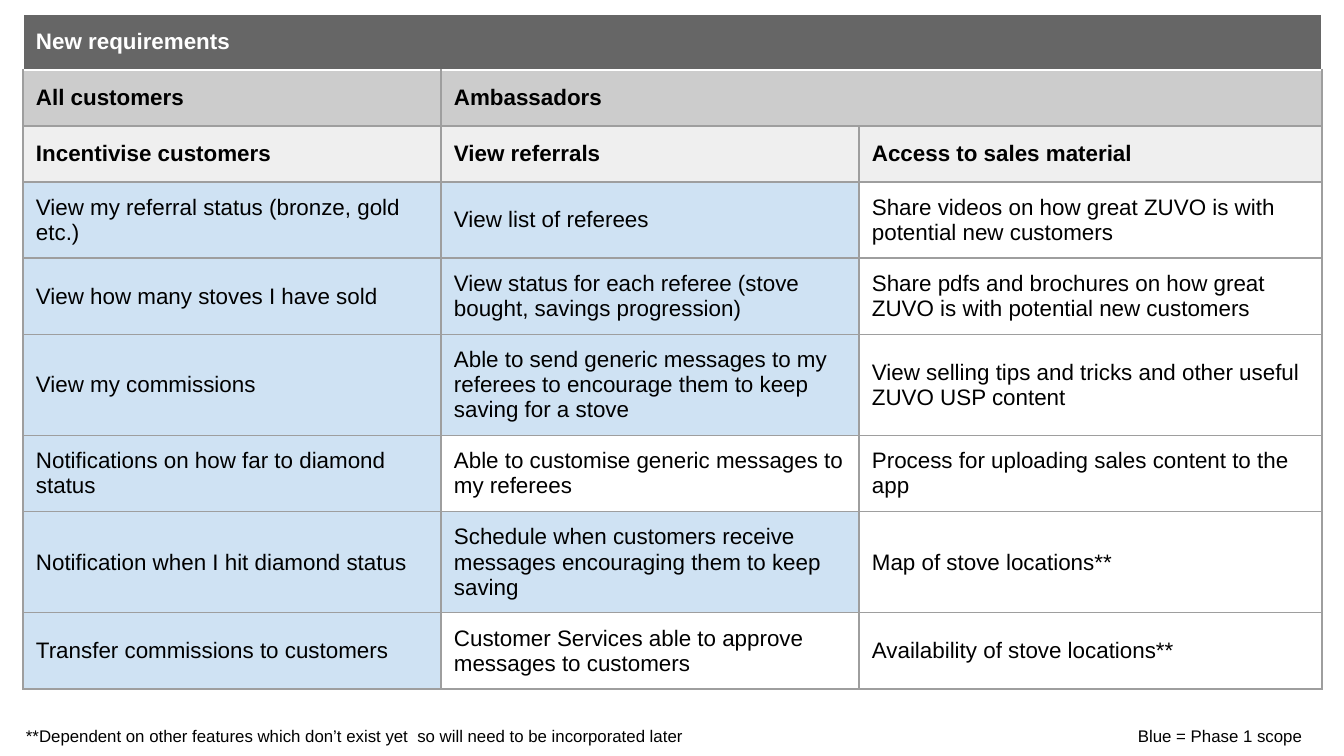
"""Build the slide of new requirements as a table with two footnotes."""
from lxml import etree
from pptx import Presentation
from pptx.dml.color import RGBColor
from pptx.enum.text import MSO_ANCHOR
from pptx.oxml.ns import qn
from pptx.util import Emu, Pt

MIDDLE = MSO_ANCHOR.MIDDLE
SCALE = 914400 / 134.4
INSET = 13
WHITE, BLACK, GREY, BLUE = "FFFFFF", "000000", "9E9E9E", "CFE2F3"

COLS = [418, 418, 463]
ROWS = [56] * 5 + [58] * 4
HEADS = [
    ("666666", ["New requirements"]),
    ("CCCCCC", ["All customers", "Ambassadors"]),
    ("EFEFEF", ["Incentivise customers", "View referrals", "Access to sales material"]),
]
NEEDS = [
    (2, ["View my referral status (bronze, gold etc.)",
         "View list of referees",
         "Share videos on how great ZUVO is with potential new customers"]),
    (2, ["View how many stoves I have sold",
         "View status for each referee (stove bought, savings progression)",
         "Share pdfs and brochures on how great ZUVO is with potential new customers"]),
    (2, ["View my commissions",
         "Able to send generic messages to my referees to encourage them to keep saving for a stove",
         "View selling tips and tricks and other useful ZUVO USP content"]),
    (1, ["Notifications on how far to diamond status",
         "Able to customise generic messages to my referees",
         "Process for uploading sales content to the app"]),
    (2, ["Notification when I hit diamond status",
         "Schedule when customers receive messages encouraging them to keep saving",
         "Map of stove locations**"]),
    (1, ["Transfer commissions to customers",
         "Customer Services able to approve messages to customers",
         "Availability of stove locations**"]),
]


def px(n):
    return Emu(round(n * SCALE))


def rgb(code):
    return RGBColor.from_string(code)


class Deck:
    def __init__(self, wide, high):
        self.font = "Arial"
        self.prs = Presentation()
        self.prs.slide_width, self.prs.slide_height = px(wide), px(high)
        self.slide = self.prs.slides.add_slide(self.prs.slide_layouts[6])

    def label(self, frame, text, size, color=BLACK, bold=False):
        frame.text = text
        font = frame.paragraphs[0].runs[0].font
        font.name, font.size, font.bold = self.font, Pt(size), bold
        font.color.rgb = rgb(color)

    def pad(self, box):
        box.margin_left = box.margin_right = px(INSET)
        box.margin_top = box.margin_bottom = px(INSET)

    def note(self, x, y, w, h, text):
        frame = self.slide.shapes.add_textbox(px(x), px(y), px(w), px(h)).text_frame
        frame.word_wrap = True
        self.pad(frame)
        self.label(frame, text, 9)

    def grid(self, x, y, cols, rows):
        frame = self.slide.shapes.add_table(
            len(rows), len(cols), px(x), px(y), px(sum(cols)), px(sum(rows)))
        table = frame.table
        table.first_row = table.horz_banding = False
        for col, w in zip(table.columns, cols):
            col.width = px(w)
        for row, h in zip(table.rows, rows):
            row.height = px(h)
        return table

    def edge(self, cell, line, top):
        props = cell._tc.get_or_add_tcPr()
        for side in "LRTB":
            tag = etree.SubElement(props, qn(f"a:ln{side}"), w=str(Pt(0.75)))
            fill = etree.SubElement(tag, qn("a:solidFill"))
            etree.SubElement(fill, qn("a:srgbClr"), val=top if side == "T" else line)

    def cell(self, cell, fill, line=GREY, top=GREY):
        self.edge(cell, line, top)
        self.pad(cell)
        cell.vertical_anchor = MIDDLE
        if fill:
            cell.fill.solid()
            cell.fill.fore_color.rgb = rgb(fill)
        else:
            cell.fill.background()


def main():
    deck = Deck(1344, 756)
    table = deck.grid(23, 14, COLS, ROWS)
    last = len(COLS) - 1

    for r, (fill, texts) in enumerate(HEADS):
        line = WHITE if r == 0 else GREY
        top = WHITE if r < 2 else GREY
        for c in range(len(COLS)):
            deck.cell(table.cell(r, c), fill, line, top)
        end = len(texts) - 1
        if end < last:
            table.cell(r, end).merge(table.cell(r, last))
        for c, text in enumerate(texts):
            color = WHITE if r == 0 else BLACK
            deck.label(table.cell(r, c).text_frame, text, 12, color, True)

    for r, (blues, texts) in enumerate(NEEDS, len(HEADS)):
        for c, text in enumerate(texts):
            cell = table.cell(r, c)
            deck.cell(cell, BLUE if c < blues else None)
            deck.label(cell.text_frame, text, 12)

    deck.note(13, 716, 1028, 26, "**Dependent on other features which don’t exist yet  "
              "so will need to be incorporated later")
    deck.note(1125, 716, 198, 60, "Blue = Phase 1 scope")
    deck.prs.save("out.pptx")


if __name__ == "__main__":
    main()
